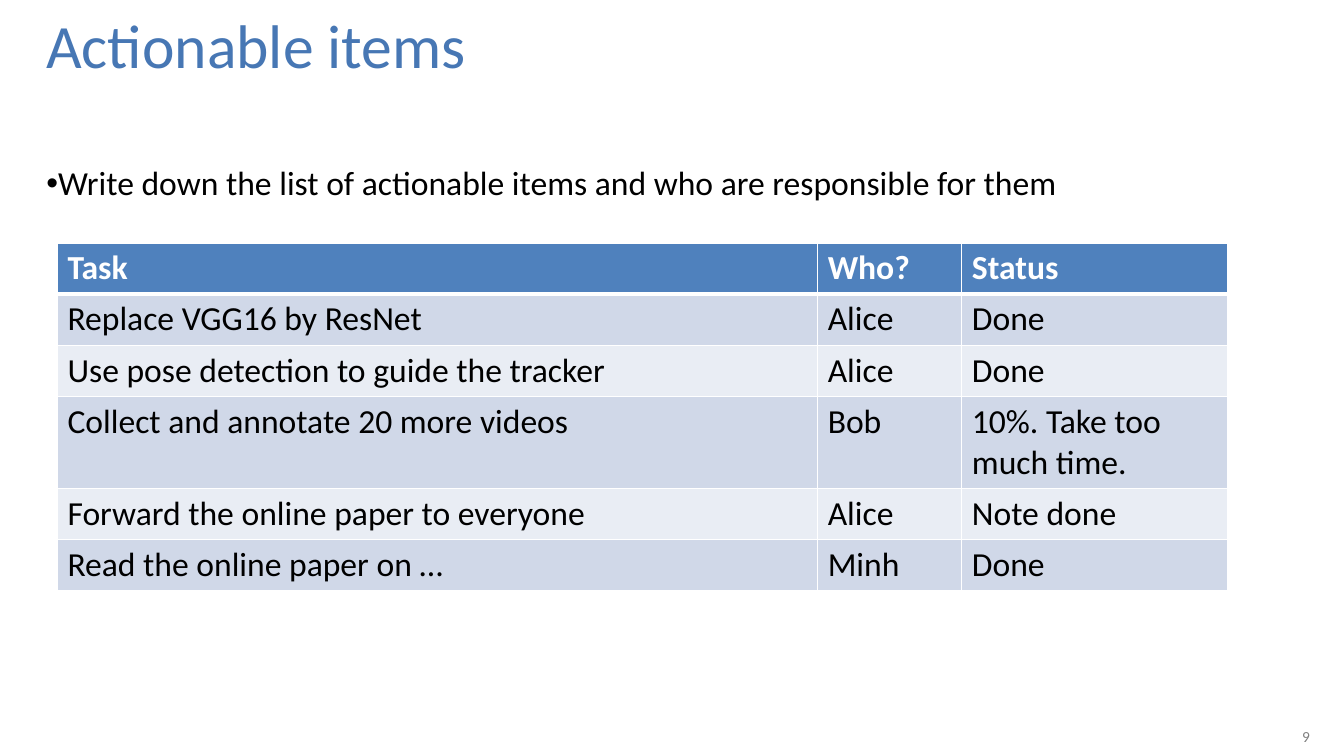
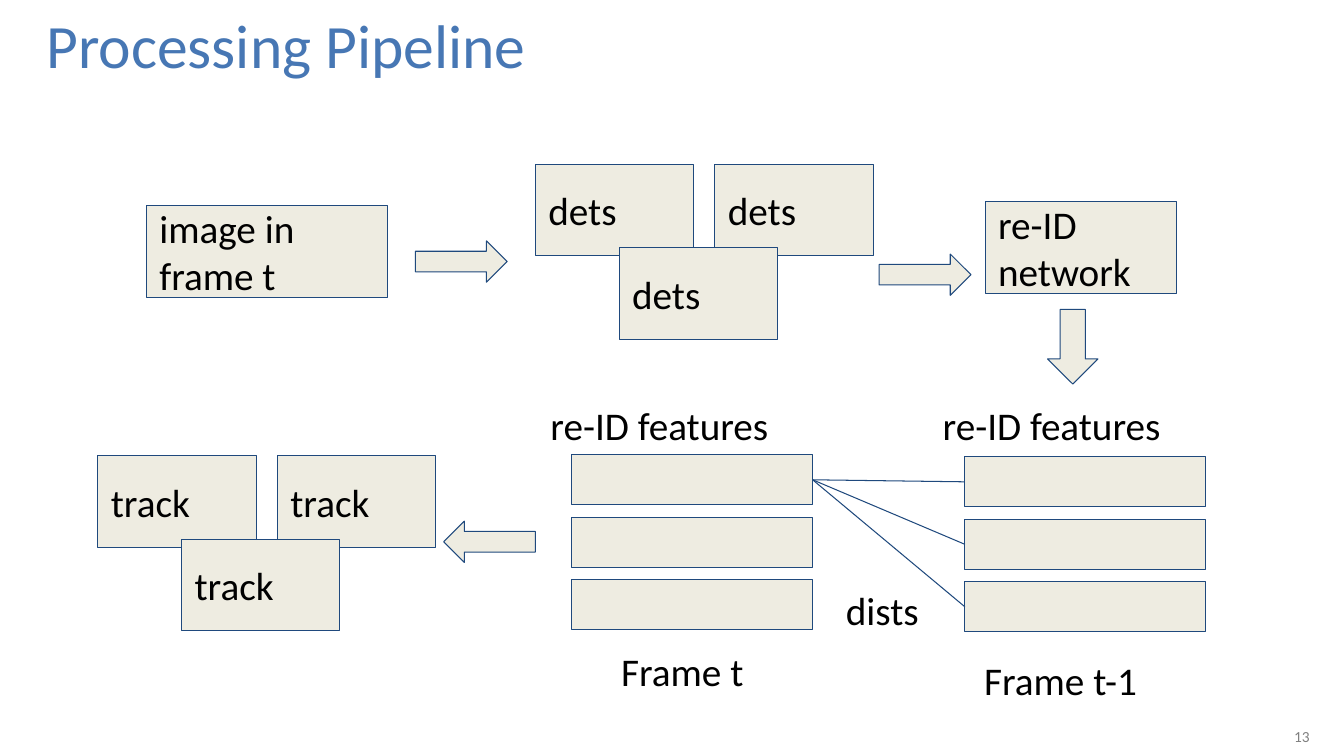
"""Build a table of actionable items and a tracking pipeline diagram."""
from dataclasses import dataclass

from lxml.etree import SubElement
from pptx import Presentation
from pptx.dml.color import RGBColor
from pptx.enum.shapes import MSO_CONNECTOR, MSO_SHAPE
from pptx.enum.text import MSO_ANCHOR, MSO_AUTO_SIZE, PP_ALIGN
from pptx.oxml import parse_xml
from pptx.oxml.ns import nsdecls, qn
from pptx.util import Inches, Pt


@dataclass(frozen=True)
class Theme:
    font: str = "Calibri"
    title: str = "4777B4"
    text: str = "000000"
    number: str = "808080"
    white: str = "FFFFFF"
    header: str = "4F81BD"
    bands: tuple = ("D0D8E8", "E9EDF4")
    box: str = "EEECE1"
    outline: str = "1F497D"
    title_size: int = 44
    body_size: int = 24
    diagram_size: int = 28
    number_size: int = 11
    line_width: float = 0.75
    border: int = 1
    header_border: int = 3


THEME = Theme()
TITLE_ONLY, TITLE_AND_BODY = 5, 1

INSTRUCTION = "Write down the list of actionable items and who are responsible for them"
TASK_COLUMNS = (7.54, 1.43, 2.64)
TASK_ROW_HEIGHT = 0.46
TASKS = [
    ("Task", "Who?", "Status"),
    ("Replace VGG16 by ResNet", "Alice", "Done"),
    ("Use pose detection to guide the tracker", "Alice", "Done"),
    ("Collect and annotate 20 more videos", "Bob", "10%. Take too much time."),
    ("Forward the online paper to everyone", "Alice", "Note done"),
    ("Read the online paper on …", "Minh", "Done"),
]

STEPS = [
    ("image in frame t", 1.45, 2.04, 2.39, 0.91),
    ("re-ID network", 9.77, 2, 1.9, 0.91),
]
TRIOS = [("dets", 5.31, 1.63), ("track", 0.97, 4.52)]
TRIO_OFFSETS = [(0, 0), (1.78, 0), (0.83, 0.83)]
TRIO_BOX = (1.57, 0.91)
FEATURE_STACKS = [(5.67, 4.51), (9.57, 4.53)]
FEATURE_BOX = (2.39, 0.5)
FEATURE_PITCH = 0.62
FEATURE_COUNT = 3
ARROWS = [
    (MSO_SHAPE.RIGHT_ARROW, 4.12, 2.39, 0.91, 0.41),
    (MSO_SHAPE.RIGHT_ARROW, 8.72, 2.52, 0.91, 0.41),
    (MSO_SHAPE.DOWN_ARROW, 10.39, 3.07, 0.5, 0.74),
    (MSO_SHAPE.LEFT_ARROW, 4.4, 5.17, 0.91, 0.41),
]
LABELS = [
    ("re-ID features", 5.33, 3.85, 3.33),
    ("re-ID features", 9.22, 3.85, 3.33),
    ("Frame t", 6.03, 6.29, 1.9),
    ("Frame t-1", 9.63, 6.38, 2.5),
    ("dists", 8.26, 5.69, 1.26),
]
LABEL_HEIGHT = 0.41
DIAGRAM_INSET = 0.13


def color(value):
    return RGBColor.from_string(value)


def inches(*values):
    return [Inches(value) for value in values]


def write(frame, text, size, ink, bold=False, align=PP_ALIGN.LEFT):
    paragraph = frame.paragraphs[0]
    paragraph.alignment = align
    run = paragraph.add_run()
    run.text = text
    run.font.name = THEME.font
    run.font.size = Pt(size)
    run.font.bold = bold
    run.font.color.rgb = color(ink)
    return paragraph


def format_frame(frame, anchor, insets):
    frame.word_wrap = True
    frame.auto_size = MSO_AUTO_SIZE.NONE
    frame.vertical_anchor = anchor
    (frame.margin_left, frame.margin_top,
     frame.margin_right, frame.margin_bottom) = inches(*insets)


def place(shape, *bounds):
    shape.left, shape.top, shape.width, shape.height = inches(*bounds)


def add_slide(presentation, layout, title, number):
    slide = presentation.slides.add_slide(presentation.slide_layouts[layout])
    place(slide.shapes.title, 0.46, -0.19, 12, 1.25)
    frame = slide.shapes.title.text_frame
    format_frame(frame, MSO_ANCHOR.MIDDLE, (0, 0.05, 0.1, 0.05))
    write(frame, title, THEME.title_size, THEME.title)
    frame = slide.shapes.add_textbox(*inches(11.26, 7.11, 1.83, 0.4)).text_frame
    format_frame(frame, MSO_ANCHOR.MIDDLE, (0.1, 0.05, 0.1, 0.05))
    write(frame, number, THEME.number_size, THEME.number, align=PP_ALIGN.RIGHT)
    return slide


def set_borders(cell, top, bottom):
    properties = cell._tc.get_or_add_tcPr()
    sides = [("L", THEME.border), ("R", THEME.border), ("T", top), ("B", bottom)]
    for position, (side, width) in enumerate(sides):
        properties.insert(position, parse_xml(
            f'<a:ln{side} {nsdecls("a")} w="{Pt(width)}"><a:solidFill>'
            f'<a:srgbClr val="{THEME.white}"/></a:solidFill></a:ln{side}>'))


def add_task_table(slide):
    table = slide.shapes.add_table(
        len(TASKS), len(TASK_COLUMNS),
        *inches(0.57, 2.41, sum(TASK_COLUMNS), TASK_ROW_HEIGHT * len(TASKS))).table
    for column, width in zip(table.columns, TASK_COLUMNS):
        column.width = Inches(width)
    for index, values in enumerate(TASKS):
        is_header = index == 0
        table.rows[index].height = Inches(TASK_ROW_HEIGHT)
        fill = THEME.header if is_header else THEME.bands[(index - 1) % 2]
        top = THEME.header_border if index == 1 else THEME.border
        bottom = THEME.header_border if is_header else THEME.border
        for cell, value in zip(table.rows[index].cells, values):
            cell.fill.solid()
            cell.fill.fore_color.rgb = color(fill)
            set_borders(cell, top, bottom)
            write(cell.text_frame, value, THEME.body_size,
                  THEME.white if is_header else THEME.text, bold=is_header)


def build_actions(presentation):
    slide = add_slide(presentation, TITLE_AND_BODY, "Actionable items", "9")
    body = slide.placeholders[1]
    place(body, 0.46, 1.61, 12, 0.4)
    format_frame(body.text_frame, MSO_ANCHOR.TOP, (0, 0, 0, 0))
    paragraph = write(body.text_frame, INSTRUCTION, THEME.body_size, THEME.text)
    paragraph.space_before = Pt(0)
    properties = paragraph._p.get_or_add_pPr()
    properties.set("marL", "0")
    properties.set("indent", "0")
    SubElement(properties, qn("a:buChar"), char="•")
    add_task_table(slide)


def add_box(slide, bounds, text="", kind=MSO_SHAPE.RECTANGLE):
    shape = slide.shapes.add_shape(kind, *inches(*bounds))
    shape.shadow.inherit = False
    shape.fill.solid()
    shape.fill.fore_color.rgb = color(THEME.box)
    shape.line.color.rgb = color(THEME.outline)
    shape.line.width = Pt(THEME.line_width)
    if text:
        format_frame(shape.text_frame, MSO_ANCHOR.MIDDLE, [DIAGRAM_INSET] * 4)
        write(shape.text_frame, text, THEME.diagram_size, THEME.text)
    return shape


def add_distance(slide, source, target):
    connector = slide.shapes.add_connector(MSO_CONNECTOR.STRAIGHT, 0, 0, 0, 0)
    connector.begin_connect(source, 3)
    connector.end_connect(target, 1)
    connector.line.color.rgb = color(THEME.outline)
    connector.line.width = Pt(THEME.line_width)
    SubElement(connector._element.spPr, qn("a:effectLst"))


def build_pipeline(presentation):
    slide = add_slide(presentation, TITLE_ONLY, "Processing Pipeline", "13")
    for text, *bounds in STEPS:
        add_box(slide, bounds, text)
    for text, left, top in TRIOS:
        for across, down in TRIO_OFFSETS:
            add_box(slide, (left + across, top + down, *TRIO_BOX), text)
    current, previous = [
        [add_box(slide, (left, top + row * FEATURE_PITCH, *FEATURE_BOX))
         for row in range(FEATURE_COUNT)]
        for left, top in FEATURE_STACKS]
    for feature in previous:
        add_distance(slide, current[0], feature)
    for kind, *bounds in ARROWS:
        add_box(slide, bounds, kind=kind)
    for text, left, top, width in LABELS:
        label = slide.shapes.add_textbox(*inches(left, top, width, LABEL_HEIGHT))
        format_frame(label.text_frame, MSO_ANCHOR.TOP, [DIAGRAM_INSET] * 4)
        write(label.text_frame, text, THEME.diagram_size, THEME.text)


def main():
    presentation = Presentation()
    presentation.slide_width, presentation.slide_height = inches(13.33, 7.5)
    build_actions(presentation)
    build_pipeline(presentation)
    presentation.save("out.pptx")


if __name__ == "__main__":
    main()
